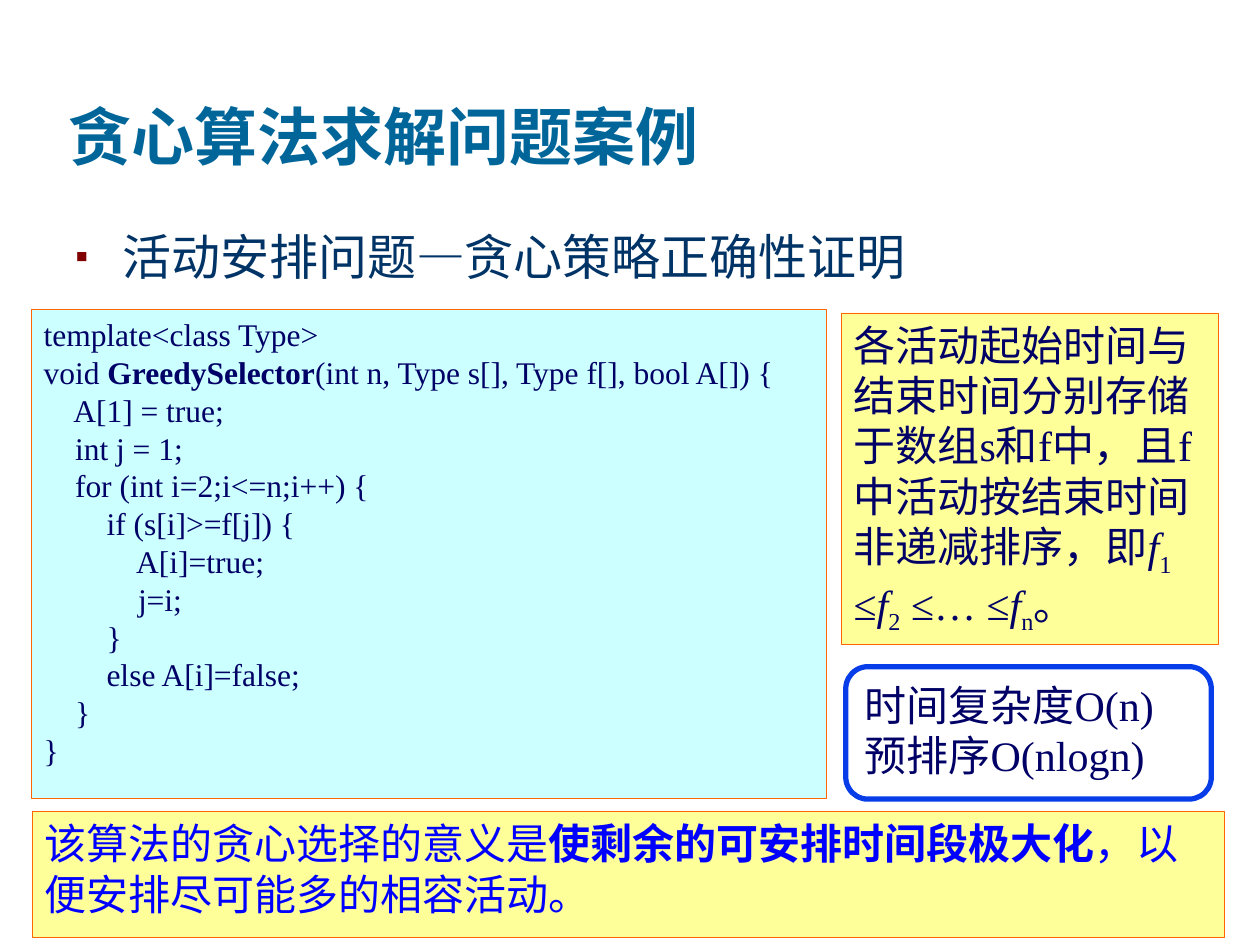
from lxml.etree import SubElement
from pptx import Presentation
from pptx.dml.color import RGBColor
from pptx.enum.shapes import MSO_SHAPE as SHAPE
from pptx.enum.text import MSO_ANCHOR as ANCHOR, PP_ALIGN as ALIGN
from pptx.oxml.ns import qn
from pptx.util import Cm, Pt

THEME = dict(
    font="Times New Roman",
    title="006699", heading="003366", bullet="800000", ink="000066", accent="0000FF",
    cyan="CCFFFF", yellow="FFFF99", white="FFFFFF", border="FF6600", frame="063DE8",
    title_size=36, heading_size=28, note_size=24, code_size=18,
)

# A paragraph is a list of runs; a run is (text, style), with style "", "b", "i" or "sub".
TITLE = [[("贪心算法求解问题案例", "b")]]
HEADING = [[("活动安排问题—贪心策略正确性证明", "")]]
CODE = [
    [("template<class Type>", "")],
    [("void ", ""), ("GreedySelector", "b"), ("(int n, Type s[], Type f[], bool A[]) {", "")],
    [("    A[1] = true;", "")],
    [("    int j = 1;", "")],
    [("    for (int i=2;i<=n;i++) {", "")],
    [("        if (s[i]>=f[j]) {", "")],
    [("            A[i]=true;", "")],
    [("            j=i;", "")],
    [("        }", "")],
    [("        else A[i]=false;", "")],
    [("    }", "")],
    [("}", "")],
]
STORAGE = [[
    ("各活动起始时间与结束时间分别存储于数组s和f中，且f中活动按结束时间非递减排序，即", ""),
    ("f", "i"), ("1 ", "sub"), ("≤", ""), ("f", "i"), ("2", "sub"),
    (" ≤… ≤", ""), ("f", "i"), ("n", "sub"), ("。", ""),
]]
COMPLEXITY = [[("时间复杂度O(n)", "")], [("预排序O(nlogn)", "")]]
MEANING = [[
    ("该算法的贪心选择的意义是", ""),
    ("使剩余的可安排时间段极大化", "b"),
    ("，以便安排尽可能多的相容活动。", ""),
]]

# content, shape, (left, top, width, height) in cm, fill, line, line width, size, colour
PANELS = [
    (CODE, SHAPE.RECTANGLE, (0.63, 6.23, 16.03, 9.86), "cyan", "border", 0.5, "code_size", "ink"),
    (STORAGE, SHAPE.RECTANGLE, (16.96, 6.31, 7.6, 6.68), "yellow", "border", 0.5, "note_size", "ink"),
    (COMPLEXITY, SHAPE.ROUNDED_RECTANGLE, (17.05, 13.44, 7.37, 2.67), "white", "frame", 3,
     "note_size", "ink"),
    (MEANING, SHAPE.RECTANGLE, (0.65, 16.36, 24.03, 2.54), "yellow", "border", 0.5,
     "note_size", "accent"),
]


def rgb(name):
    return RGBColor.from_string(THEME[name])


def write(tf, paragraphs, *, size, color, anchor=ANCHOR.TOP):
    tf.word_wrap = True
    tf.vertical_anchor = anchor
    for i, runs in enumerate(paragraphs):
        p = tf.add_paragraph() if i else tf.paragraphs[0]
        p.alignment = ALIGN.LEFT
        for text, style in runs:
            r = p.add_run()
            r.text = text
            r.font.name = THEME["font"]
            r.font.size = Pt(THEME[size])
            r.font.color.rgb = rgb(color)
            r.font.bold = style == "b"
            r.font.italic = style == "i"
            if style == "sub":
                r.font._element.set("baseline", "-25000")


def add_bullet(p, char, color, indent):
    pPr = p._p.get_or_add_pPr()
    pPr.set("marL", str(indent))
    pPr.set("indent", str(-indent))
    SubElement(SubElement(pPr, qn("a:buClr")), qn("a:srgbClr"), val=THEME[color])
    SubElement(pPr, qn("a:buSzPct"), val="75000")
    SubElement(pPr, qn("a:buFont"), typeface=THEME["font"])
    SubElement(pPr, qn("a:buChar"), char=char)


def add_panel(s, content, shape, box, fill, line, width, size, color):
    sp = s.shapes.add_shape(shape, *map(Cm, box))
    sp.shadow.inherit = False
    sp.fill.solid()
    sp.fill.fore_color.rgb = rgb(fill)
    sp.line.color.rgb = rgb(line)
    sp.line.width = Pt(width)
    write(sp.text_frame, content, size=size, color=color)


def main():
    prs = Presentation()
    prs.slide_width, prs.slide_height = Cm(25.4), Cm(19.05)
    s = prs.slides.add_slide(prs.slide_layouts[5])

    title = s.shapes.title
    title.left, title.top, title.width, title.height = map(Cm, (1.12, 0.43, 21.59, 3.18))
    write(title.text_frame, TITLE, size="title_size", color="title", anchor=ANCHOR.BOTTOM)

    heading = s.shapes.add_textbox(*map(Cm, (1.27, 4.45, 22.7, 1.6)))
    add_bullet(heading.text_frame.paragraphs[0], "▪", "bullet", Cm(0.95))
    write(heading.text_frame, HEADING, size="heading_size", color="heading")

    for panel in PANELS:
        add_panel(s, *panel)
    prs.save("out.pptx")


if __name__ == "__main__":
    main()
